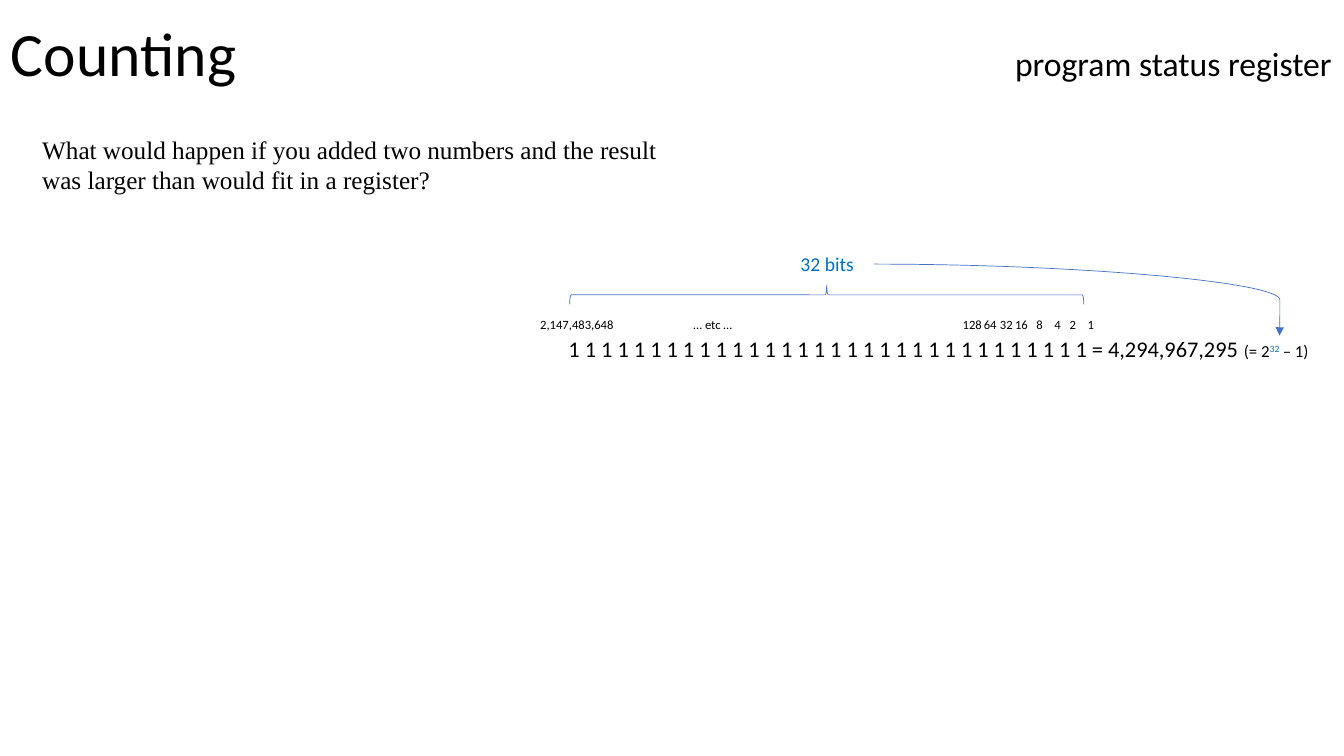
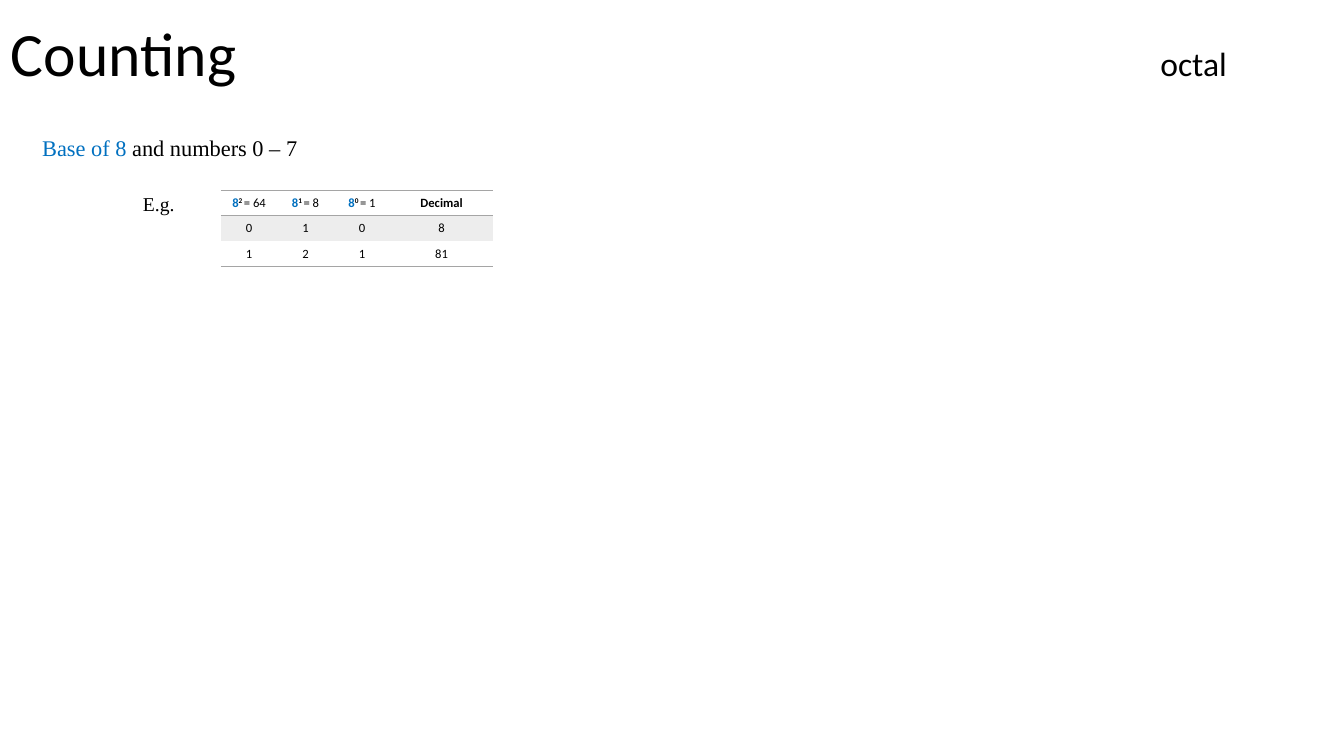
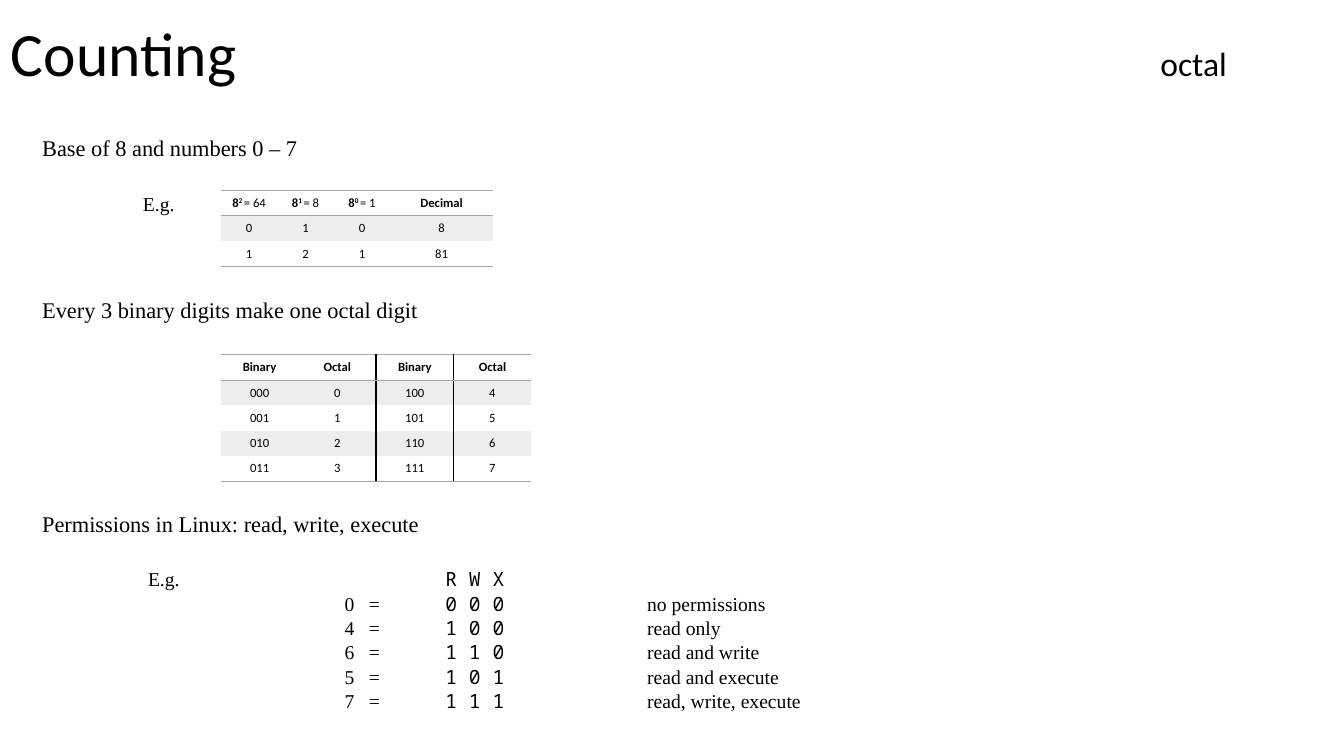
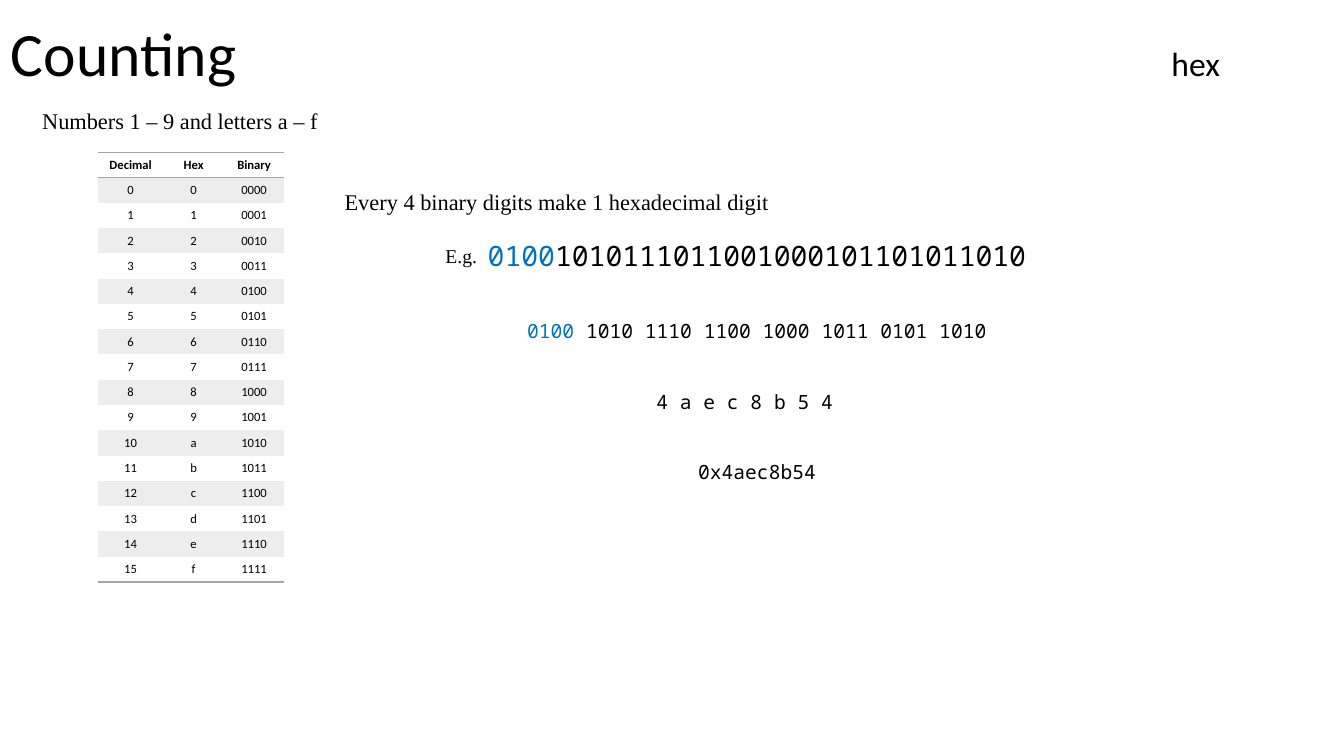
from lxml.etree import SubElement
from pptx import Presentation
from pptx.dml.color import RGBColor
from pptx.enum.shapes import MSO_CONNECTOR as Link, MSO_SHAPE as Shape
from pptx.enum.text import MSO_ANCHOR as Anchor, PP_ALIGN as Align
from pptx.oxml.ns import qn
from pptx.util import Inches, Pt

SANS, SERIF, MONO = "Calibri", "Times New Roman", "Noto Sans Mono"
BLACK, WHITE, BLUE = "000000", "FFFFFF", "0070C0"
LINE, RULE, BAND = "4472C4", "A5A5A5", "EDEDED"
PLAIN = "{2D5ABB26-0587-4C30-8999-92F81FD0307C}"  # table style without a grid
ROW = 0.25


def rgb(code):
    return RGBColor.from_string(code)


def paint(item, color):
    item.fill.solid()
    item.fill.fore_color.rgb = rgb(color)


def style(font, size=None, name=None, color=None, bold=None):
    if size:
        font.size = Pt(size)
    if name:
        font.name = name
    if color:
        font.color.rgb = rgb(color)
    if bold is not None:
        font.bold = bold


def write(para, parts, size, name, color=BLACK, align=Align.LEFT, tabs=(), bold=None):
    """Fill a paragraph from a string or from (text, changes) pairs."""
    para.alignment = align
    if tabs:
        stops = SubElement(para._p.get_or_add_pPr(), qn("a:tabLst"))
        for stop in tabs:
            SubElement(stops, qn("a:tab"), pos=str(Inches(stop)), algn="l")
    style(para.font, size, name, color, bold)
    for text, look in [(parts, {})] if isinstance(parts, str) else parts:
        run = para.add_run()
        run.text = text
        look = dict(look)
        if look.pop("sup", False):
            run._r.get_or_add_rPr().set("baseline", "30000")
        style(run.font, **look)


def fill_in(frame, lines, size=16, name=SERIF, gap=0, pitch=None, **look):
    """Write one paragraph for each line."""
    frame.word_wrap = True
    for i, line in enumerate(lines):
        para = frame.add_paragraph() if i else frame.paragraphs[0]
        if pitch:
            para.line_spacing = pitch
        if i and gap:
            para.space_before = Pt(gap)
        write(para, line, size, name, **look)
    return frame


def label(slide, x, y, w, h, *lines, **look):
    box = slide.shapes.add_textbox(Inches(x), Inches(y), Inches(w), Inches(h))
    return fill_in(box.text_frame, lines, **look)


def plate(slide, x, y, w, h, *lines, **look):
    """Add a white rectangle with text."""
    box = slide.shapes.add_shape(Shape.RECTANGLE, Inches(x), Inches(y),
                                 Inches(w), Inches(h))
    box.shadow.inherit = False
    paint(box, WHITE)
    box.line.fill.background()
    fill_in(box.text_frame, lines, name=SANS, **look).vertical_anchor = Anchor.TOP


def start(deck, topic, x):
    """Add a slide with the shared title and a topic beginning at x."""
    slide = deck.slides.add_slide(deck.slide_layouts[6])
    frame = label(slide, 0.01, -0.16, 13.32, 1.45,
                  [("Counting\t", {}), (topic, {"size": 24})],
                  size=44, name=SANS, pitch=0.9, tabs=[x - 0.11])
    frame.margin_right = 0
    frame.vertical_anchor = Anchor.MIDDLE
    return slide


def edge(cell, side, color):
    ln = SubElement(cell._tc.get_or_add_tcPr(), qn("a:ln" + side), w=str(Pt(1)))
    fill = SubElement(ln, qn("a:solidFill"))
    SubElement(fill, qn("a:srgbClr"), val=color)


def grid(slide, x, y, cols, rows, bar=None):
    """Add a banded table; bar is the column that follows an upright line."""
    frame = slide.shapes.add_table(len(rows), len(cols), Inches(x), Inches(y),
                                   Inches(sum(cols)), Inches(ROW * len(rows)))
    table = frame.table
    table._tbl.tblPr.find(qn("a:tableStyleId")).text = PLAIN
    for col, width in zip(table.columns, cols):
        col.width = Inches(width)
    for r, row in enumerate(rows):
        table.rows[r].height = Inches(ROW)
        for c, parts in enumerate(row):
            cell = table.cell(r, c)
            cell.margin_left = cell.margin_right = Inches(0.05)
            cell.vertical_anchor = Anchor.MIDDLE
            if bar and c == bar:
                edge(cell, "L", BLACK)
            if bar and c == bar - 1:
                edge(cell, "R", BLACK)
            if r == 0:
                edge(cell, "T", RULE)
            if r in (0, len(rows) - 1):
                edge(cell, "B", RULE)
            paint(cell, BAND if r % 2 else WHITE)
            write(cell.text_frame.paragraphs[0], parts, 9, SANS,
                  align=Align.CENTER, bold=r == 0)


def brace(slide, x, y, w, h):
    """Add a brace that opens downwards and fills the given area."""
    shape = slide.shapes.add_shape(Shape.RIGHT_BRACE, Inches(x + (w - h) / 2),
                                   Inches(y - (w - h) / 2), Inches(h), Inches(w))
    shape.rotation = 270
    shape.shadow.inherit = False
    shape.fill.background()
    shape.line.color.rgb = rgb(LINE)
    shape.line.width = Pt(0.5)


def arrow(slide, x1, y1, x2, y2):
    """Add a curve that leaves sideways and arrives from above."""
    link = slide.shapes.add_connector(Link.CURVE, Inches(x1), Inches(y1),
                                      Inches(x2), Inches(y2))
    link.line.color.rgb = rgb(LINE)
    link.line.width = Pt(0.5)
    props = link._element.spPr
    SubElement(props.find(qn("a:prstGeom")).find(qn("a:avLst")), qn("a:gd"),
               name="adj1", fmla="val 100100")
    SubElement(props.find(qn("a:ln")), qn("a:tailEnd"), type="triangle")
    SubElement(props, qn("a:effectLst"))


def status(deck):
    slide = start(deck, "program status register", 10.07)
    label(slide, 0.32, 1.28, 6.67, 0.71,
          "What would happen if you added two numbers and the result "
          "was larger than would fit in a register?", size=18)
    ones = " ".join("1" * 32)
    plate(slide, 5.54, 3.28, 7.8, 0.37,
          [(ones + " = 4,294,967,295 ", {}), ("(= 2", {"size": 12}),
           ("32", {"size": 12, "color": BLUE, "sup": True}),
           (" ", {"size": 10.5}), ("– 1)", {"size": 12})],
          size=16)
    plate(slide, 5.26, 3.09, 8.07, 0.25,
          "2,147,483,648\t… etc …\t128\t64\t32\t16\t8\t4\t2\t1", size=9,
          tabs=[1.52, 4.19, 4.4, 4.56, 4.71, 4.92, 5.1, 5.25, 5.43])
    plate(slide, 7.74, 2.45, 0.93, 0.34, "32 bits",
          size=14, color=BLUE, align=Align.CENTER)
    arrow(slide, 8.67, 2.62, 12.69, 3.33)
    brace(slide, 5.65, 2.83, 5.1, 0.19)


def base(deck, color):
    """Add an octal slide with its first table, the base in the given colour."""
    slide = start(deck, "octal", 11.51)
    label(slide, 0.32, 1.28, 6, 0.35,
          [("Base of 8 ", {"color": color}), ("and numbers 0 – 7", {})])
    label(slide, 1.32, 1.85, 0.8, 0.32, "E.g.", size=14)
    head = [[("8", {"color": color}), (f"{n} ", {"sup": True}),
             (f"= {8 ** n}", {"bold": False})] for n in (2, 1, 0)]
    grid(slide, 2.19, 1.89, [0.56] * 3 + [1.02],
         [head + ["Decimal"], ["0", "1", "0", "8"], ["1", "2", "1", "81"]])
    return slide


def octal(deck):
    slide = base(deck, BLACK)
    label(slide, 0.32, 2.89, 6, 0.35, "Every 3 binary digits make one octal digit")
    rows = [[f"{n:03b}", str(n), f"{n + 4:03b}", str(n + 4)] for n in range(4)]
    grid(slide, 2.19, 3.52, [0.77] * 4, [["Binary", "Octal"] * 2] + rows, bar=2)
    label(slide, 0.32, 5.01, 6, 0.35, "Permissions in Linux: read, write, execute")
    modes = [(0, "no permissions"), (4, "read only"), (6, "read and write"),
             (5, "read and execute"), (7, "read, write, execute")]
    mono = {"name": MONO}
    lines = [[("E.g.\t\t\t", {}), ("R W X", mono)]]
    lines += [[(f"\t{n}\t=\t", {}), (" ".join(f"{n:03b}"), mono), (f"\t{text}", {})]
              for n, text in modes]
    label(slide, 1.37, 5.57, 7.5, 1.6, *lines, size=14, pitch=Pt(17.4),
          tabs=[1.95, 2.19, 2.95, 4.95])


def hexa(deck):
    slide = start(deck, "hex", 11.62)
    label(slide, 0.32, 1.01, 6, 0.35, "Numbers 1 – 9 and letters a – f")
    rows = [[str(n), f"{n:x}", f"{n:04b}"] for n in range(16)]
    grid(slide, 0.97, 1.51, [0.65, 0.6, 0.6], [["Decimal", "Hex", "Binary"]] + rows)
    label(slide, 3.32, 1.82, 6, 0.35, "Every 4 binary digits make 1 hexadecimal digit")
    label(slide, 4.32, 2.37, 0.8, 0.32, "E.g.", size=14)
    blue = {"color": BLUE}
    label(slide, 4.51, 2.32, 6, 2.56,
          [("0100", {"size": 20, **blue}),
           ("1010111011001000101101011010", {"size": 20})],
          [("0100", blue), (" 1010 1110 1100 1000 1011 0101 1010", {})],
          "4 a e c 8 b 5 4\t", "0x4aec8b54",
          size=14, name=MONO, gap=33.5, align=Align.CENTER)


def main():
    deck = Presentation()
    deck.slide_width, deck.slide_height = Inches(13.33), Inches(7.5)
    status(deck)
    base(deck, BLUE)
    octal(deck)
    hexa(deck)
    deck.save("out.pptx")


if __name__ == "__main__":
    main()
